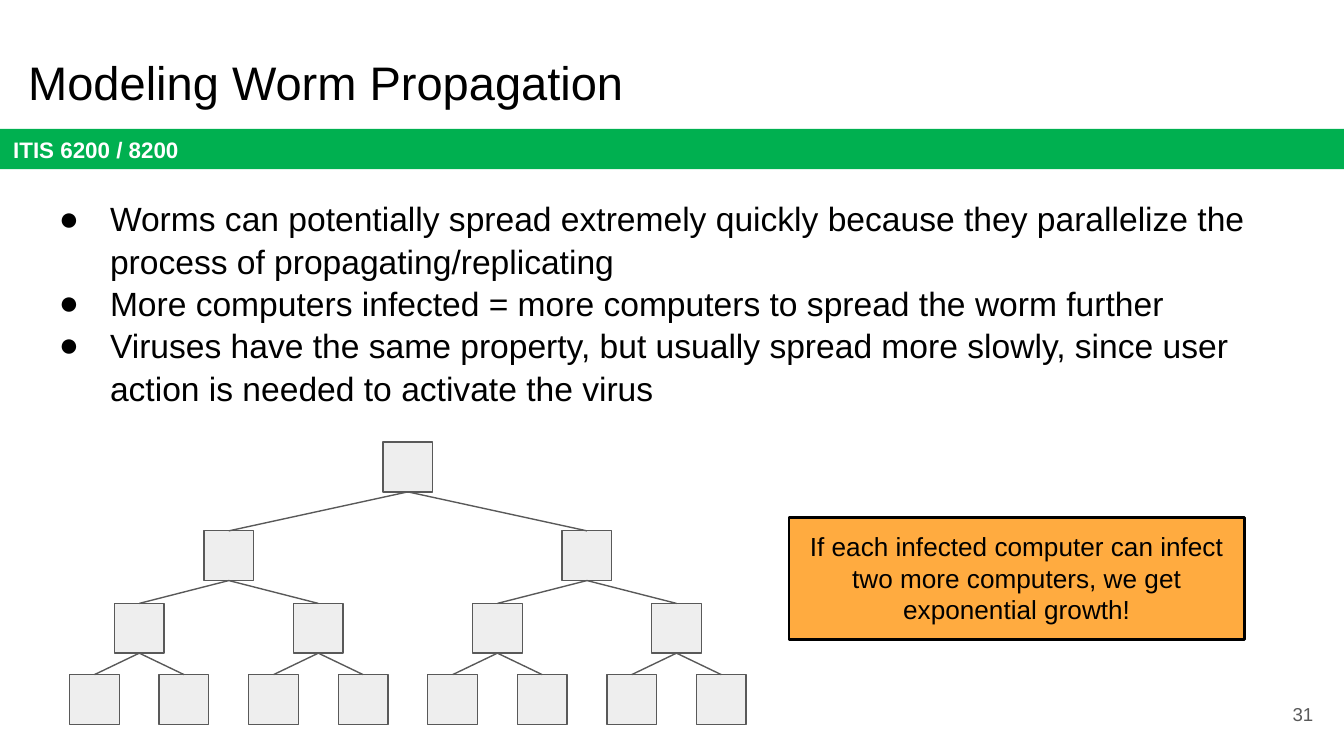
from dataclasses import dataclass
from typing import Optional

from lxml.etree import SubElement
from pptx import Presentation
from pptx.dml.color import RGBColor
from pptx.enum.shapes import MSO_CONNECTOR as Link, MSO_SHAPE as Kind
from pptx.enum.text import MSO_ANCHOR as Anchor, PP_ALIGN as Align
from pptx.oxml.ns import qn
from pptx.util import Inches, Pt

BLACK = RGBColor(0x00, 0x00, 0x00)
WHITE = RGBColor(0xFF, 0xFF, 0xFF)
GREEN = RGBColor(0x00, 0xB0, 0x50)
ORANGE = RGBColor(0xFF, 0xAB, 0x40)
PALE = RGBColor(0xEE, 0xEE, 0xEE)
GRAY = RGBColor(0x59, 0x59, 0x59)

SIDE = 0.37
LEFT = 0.37
SPAN = 5.33
TOPS = (3.29, 3.95, 4.49, 5.02)
POINTS = (
    "Worms can potentially spread extremely quickly because they parallelize the process of propagating/replicating",
    "More computers infected = more computers to spread the worm further",
    "Viruses have the same property, but usually spread more slowly, since user action is needed to activate the virus",
)


@dataclass
class Area:
    left: float
    top: float
    width: float
    height: float

    def lengths(self) -> tuple:
        return tuple(map(Inches, (self.left, self.top, self.width, self.height)))


@dataclass
class Style:
    size: float
    color: RGBColor = BLACK
    bold: bool = False
    align: Align = Align.LEFT
    anchor: Anchor = Anchor.TOP


def write(shape, text: str, style: Style) -> None:
    frame = shape.text_frame
    frame.text = text
    frame.word_wrap = True
    frame.vertical_anchor = style.anchor
    frame.margin_left = frame.margin_right = Inches(0.1)
    frame.margin_top = frame.margin_bottom = Inches(0.1)
    for para in frame.paragraphs:
        para.alignment = style.align
        for run in para.runs:
            run.font.name = "Arial"
            run.font.size = Pt(style.size)
            run.font.bold = style.bold
            run.font.color.rgb = style.color


def add_box(slide, area: Area, fill: RGBColor, line: Optional[RGBColor] = None, width: float = 0.75):
    box = slide.shapes.add_shape(Kind.RECTANGLE, *area.lengths())
    box.shadow.inherit = False
    box.fill.solid()
    box.fill.fore_color.rgb = fill
    if line is None:
        box.line.fill.background()
    else:
        box.line.color.rgb = line
        box.line.width = Pt(width)
    return box


def add_text(slide, area: Area, text: str, style: Style):
    box = slide.shapes.add_textbox(*area.lengths())
    write(box, text, style)
    return box


def add_bullets(box) -> None:
    for para in box.text_frame.paragraphs:
        para.line_spacing = 1.05
        props = para._p.get_or_add_pPr()
        props.set("marL", str(Inches(0.5)))
        props.set("indent", str(Inches(-0.38)))
        SubElement(props, qn("a:buFont"), typeface="Arial")
        SubElement(props, qn("a:buChar"), char="●")


def join(slide, parent, child) -> None:
    line = slide.shapes.add_connector(Link.STRAIGHT, 0, 0, 0, 0)
    line.begin_connect(parent, 2)
    line.end_connect(child, 0)
    line.line.color.rgb = GRAY
    line.line.width = Pt(0.75)
    SubElement(line._element.spPr, qn("a:effectLst"))


def add_tree(slide) -> None:
    above = []
    for level, top in enumerate(TOPS):
        count = 2 ** level
        row = []
        for index in range(count):
            center = LEFT + SPAN * (index + 0.5) / count
            node = add_box(slide, Area(center - SIDE / 2, top, SIDE, SIDE), PALE, GRAY)
            if above:
                join(slide, above[index // 2], node)
            row.append(node)
        above = row


def main() -> None:
    deck = Presentation()
    deck.slide_width = Inches(10)
    deck.slide_height = Inches(10) * 9 // 16
    slide = deck.slides.add_slide(deck.slide_layouts[5])

    band = add_box(slide, Area(0, 0.96, 10, 0.3), GREEN)
    write(band, "ITIS 6200 / 8200", Style(12, WHITE, bold=True, anchor=Anchor.MIDDLE))

    title = slide.shapes.title
    title.left, title.top, title.width, title.height = Area(0.11, 0.3, 9.32, 0.63).lengths()
    write(title, "Modeling Worm Propagation", Style(25.2))

    body = add_text(slide, Area(0.22, 1.36, 9.32, 1.92), "\n".join(POINTS), Style(18))
    add_bullets(body)

    add_text(slide, Area(9.27, 5.1, 0.6, 0.43), "31",
             Style(10, GRAY, align=Align.RIGHT, anchor=Anchor.MIDDLE))

    add_tree(slide)

    note = add_box(slide, Area(5.87, 3.85, 3.39, 0.91), ORANGE, BLACK, 1.5)
    write(note, "If each infected computer can infect two more computers, we get exponential growth!",
          Style(14, align=Align.CENTER))

    deck.save("out.pptx")


if __name__ == "__main__":
    main()
